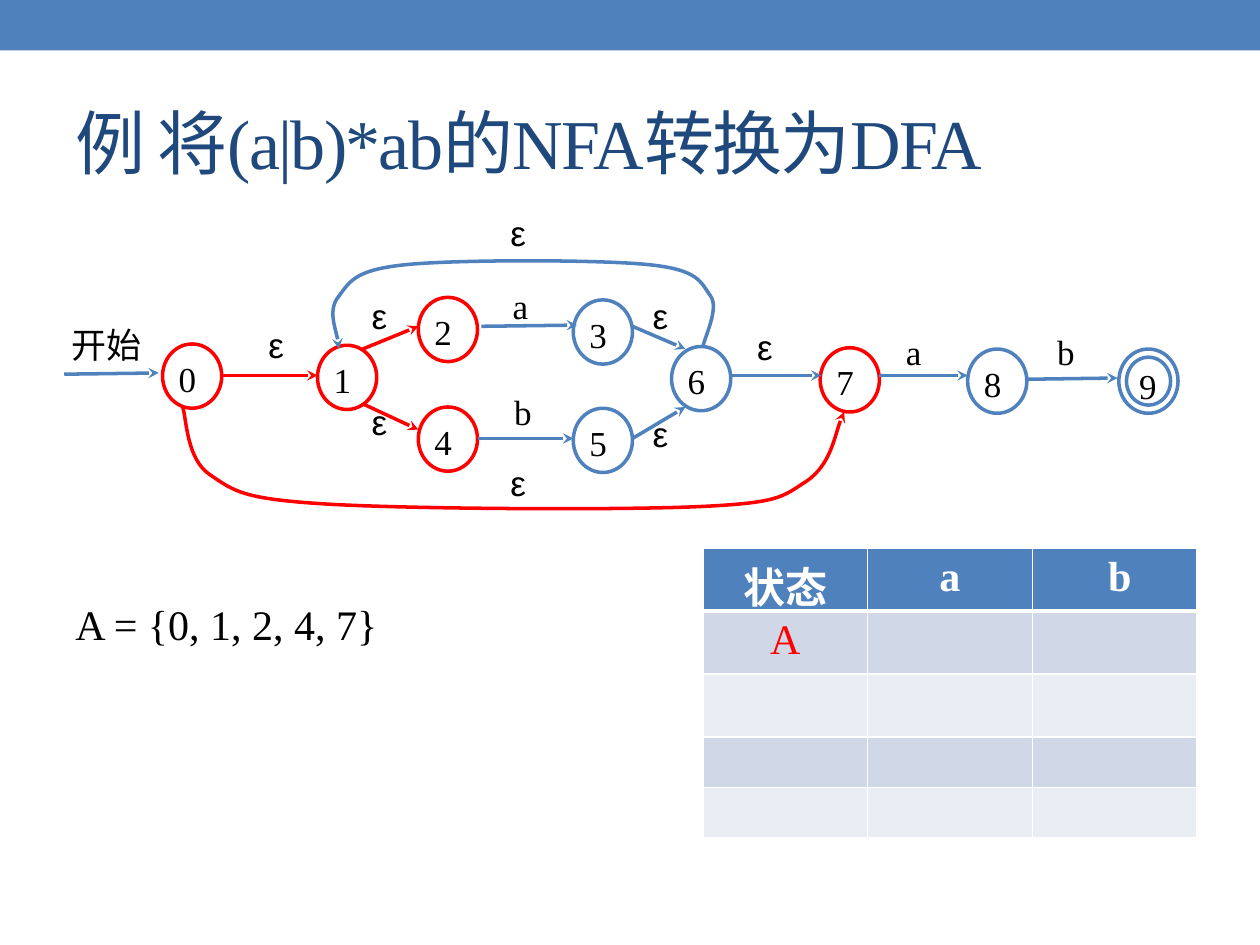
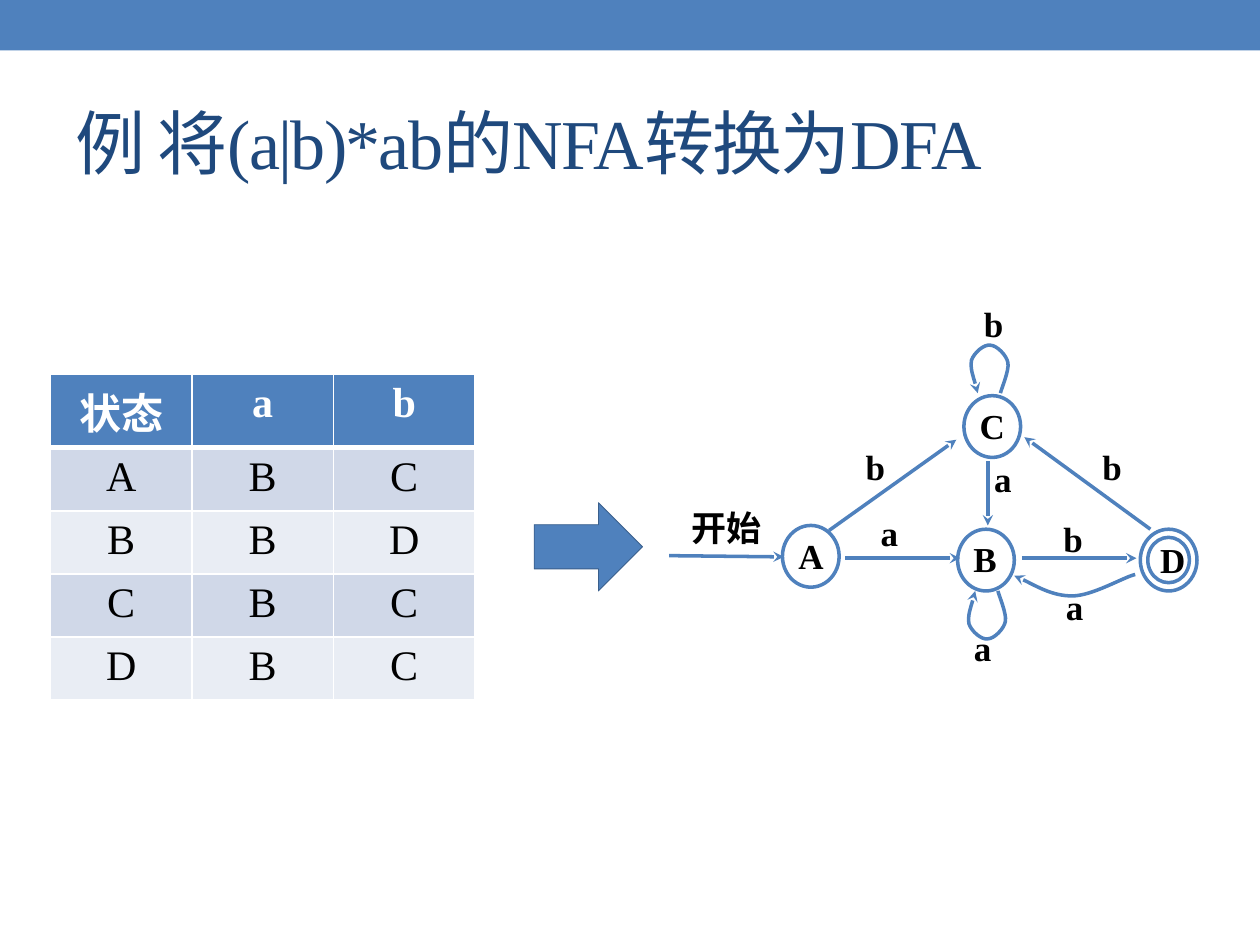
"""Two slides on converting the NFA of (a|b)*ab into a DFA."""
import dataclasses

import lxml.etree
import pptx
import pptx.dml.color
import pptx.enum.shapes
import pptx.enum.text
import pptx.oxml.ns
import pptx.util

Inches = pptx.util.Inches
Pt = pptx.util.Pt
RGBColor = pptx.dml.color.RGBColor
MSO_SHAPE = pptx.enum.shapes.MSO_SHAPE
MSO_ANCHOR = pptx.enum.text.MSO_ANCHOR
PP_ALIGN = pptx.enum.text.PP_ALIGN
qn = pptx.oxml.ns.qn

BLUE = RGBColor(0x4F, 0x81, 0xBD)
DARK_BLUE = RGBColor(0x3A, 0x5F, 0x8C)
NAVY = RGBColor(0x1F, 0x49, 0x7D)
RED = RGBColor(0xFF, 0x00, 0x00)
BLACK = RGBColor(0x00, 0x00, 0x00)
WHITE = RGBColor(0xFF, 0xFF, 0xFF)
ROW_DARK = RGBColor(0xD0, 0xD8, 0xE8)
ROW_LIGHT = RGBColor(0xE9, 0xED, 0xF4)

SERIF = "Times New Roman"
SANS = "Arial"
TITLE = "例 将(a|b)*ab的NFA转换为DFA"
START = "开始"


def write(tf, text, size, color=BLACK, font=SERIF, bold=False, align=PP_ALIGN.LEFT):
    """Set one formatted paragraph in a text frame."""
    tf.text = text
    p = tf.paragraphs[0]
    p.alignment = align
    for r in p.runs:
        r.font.name, r.font.size, r.font.bold = font, Pt(size), bold
        r.font.color.rgb = color


def set_margins(tf, left, top, right, bottom):
    """Set the four insets of a text frame in inches."""
    tf.margin_left, tf.margin_top = Inches(left), Inches(top)
    tf.margin_right, tf.margin_bottom = Inches(right), Inches(bottom)


def add_arrowhead(sp):
    """Put a stealth head at the end of a line."""
    ln = sp.element.find(".//" + qn("a:ln"))
    lxml.etree.SubElement(ln, qn("a:tailEnd"), type="stealth")


@dataclasses.dataclass
class Automaton:
    """A state diagram whose parts are placed from its left top corner."""

    slide: object
    left: float
    top: float
    node_size: tuple
    inner_size: tuple
    bold: bool
    anchor: object

    def at(self, x, y):
        """Turn diagram inches into a slide position."""
        return Inches(self.left + x), Inches(self.top + y)

    def node(self, name, x, y, color=BLUE, size=None, margins=(0.06, 0.03, 0.02, 0.05)):
        """Draw a state circle with its name."""
        w, h = size or self.node_size
        sp = self.slide.shapes.add_shape(
            MSO_SHAPE.OVAL, *self.at(x, y), Inches(w), Inches(h))
        sp.shadow.inherit = False
        sp.fill.background()
        sp.line.color.rgb, sp.line.width = color, Pt(2)
        tf = sp.text_frame
        tf.vertical_anchor = self.anchor
        set_margins(tf, *margins)
        write(tf, name, 20, bold=self.bold)

    def final_node(self, name, x, y):
        """Draw an accepting state as two rings."""
        self.node("", x, y)
        dx, dy = ((a - b) / 2 for a, b in zip(self.node_size, self.inner_size))
        self.node(name, x + dx, y + dy, size=self.inner_size,
                  margins=(0.05, 0, 0.01, 0))

    def label(self, text, x, y):
        """Write the symbol of an edge."""
        w = 0.78 if text == START else 0.4
        sp = self.slide.shapes.add_textbox(*self.at(x, y), Inches(w), Inches(0.4))
        tf = sp.text_frame
        tf.word_wrap = True
        set_margins(tf, 0.06, 0.03, 0.06, 0.03)
        write(tf, text, 20, font=SANS if text == "ε" else SERIF, bold=self.bold)

    def edge(self, x1, y1, x2, y2, color=BLUE):
        """Draw a straight arrow."""
        sp = self.slide.shapes.add_connector(
            pptx.enum.shapes.MSO_CONNECTOR.STRAIGHT, *self.at(x1, y1), *self.at(x2, y2))
        sp.line.color.rgb, sp.line.width = color, Pt(2)
        add_arrowhead(sp)
        lxml.etree.SubElement(sp.element.spPr, qn("a:effectLst"))

    def arc(self, points, color=BLUE):
        """Draw a curved arrow from a start point and triples of Bézier points."""
        start, *rest = [self.at(*point) for point in points]
        builder = self.slide.shapes.build_freeform(*start)
        builder.add_line_segments(rest, close=False)
        sp = builder.convert_to_shape()
        segments = list(sp.element.iter(qn("a:lnTo")))
        for i in range(0, len(segments), 3):
            curve = lxml.etree.SubElement(segments[i].getparent(), qn("a:cubicBezTo"))
            for segment in segments[i:i + 3]:
                curve.append(segment[0])
                segment.getparent().remove(segment)
        sp.shadow.inherit = False
        sp.fill.background()
        sp.line.color.rgb, sp.line.width = color, Pt(2)
        add_arrowhead(sp)


def add_title_slide(prs):
    """Add a slide with the top band and the shared title."""
    slide = prs.slides.add_slide(prs.slide_layouts[5])
    band = slide.shapes.add_shape(MSO_SHAPE.RECTANGLE, 0, 0, prs.slide_width, Inches(0.4))
    band.shadow.inherit = False
    band.fill.solid()
    band.fill.fore_color.rgb = BLUE
    band.line.fill.background()
    title = slide.shapes.title
    title.left, title.top = Inches(0.5), Inches(0.58)
    title.width, title.height = Inches(9), Inches(1.08)
    tf = title.text_frame
    tf.vertical_anchor = MSO_ANCHOR.MIDDLE
    write(tf, TITLE, 40, NAVY)
    tf.paragraphs[0].runs[0].font.element.set("spc", "-100") if hasattr(
        tf.paragraphs[0].runs[0].font, "element") else tf._txBody.find(
        ".//" + qn("a:rPr")).set("spc", "-100")
    return slide


def set_borders(cell, top, bottom):
    """Give a cell white borders, one point wide at the sides."""
    tcPr = cell._tc.get_or_add_tcPr()
    for i, (side, width) in enumerate(zip("LRTB", (1, 1, top, bottom))):
        ln = lxml.etree.Element(qn("a:ln" + side), w=str(Pt(width)))
        fill = lxml.etree.SubElement(ln, qn("a:solidFill"))
        lxml.etree.SubElement(fill, qn("a:srgbClr"), val=str(WHITE))
        tcPr.insert(i, ln)


def add_transition_table(slide, left, top, width, heights, rows, body_color=BLACK):
    """Add a state table; its frame is 2.5 inches high."""
    frame = slide.shapes.add_table(len(rows), len(rows[0]), Inches(left), Inches(top),
                                   Inches(width), Inches(2.5))
    table = frame.table
    for i, (row, height) in enumerate(zip(rows, heights)):
        table.rows[i].height = Inches(height)
        for j, text in enumerate(row):
            cell = table.cell(i, j)
            cell.fill.solid()
            cell.fill.fore_color.rgb = BLUE if i == 0 else (ROW_LIGHT, ROW_DARK)[i % 2]
            set_borders(cell, 3 if i == 1 else 1, 3 if i == 0 else 1)
            if text:
                write(cell.text_frame, text, 24, body_color if i else WHITE,
                      bold=i == 0, align=PP_ALIGN.CENTER)
    frame.height = Inches(2.5)


def add_nfa(slide, left, top):
    """Draw the NFA with the states reached from 0 by ε in red."""
    nfa = Automaton(slide, left, top, (0.47, 0.51), (0.35, 0.38), False, MSO_ANCHOR.TOP)
    for name, x, y in (("0", 0.79, 1.23), ("1", 2.02, 1.24), ("2", 2.82, 0.86),
                       ("3", 4.05, 0.88), ("4", 2.82, 1.73), ("5", 4.05, 1.74),
                       ("6", 4.83, 1.25), ("7", 6.01, 1.26), ("8", 7.18, 1.27)):
        nfa.node(name, x, y, RED if name in "01247" else BLUE)
    nfa.final_node("9", 8.38, 1.27)
    for ends in ((0.01, 1.47, 0.76, 1.46), (3.32, 1.09, 4.08, 1.08),
                 (3.29, 1.98, 4.05, 1.98), (4.52, 1.09, 4.94, 1.27),
                 (4.52, 1.98, 4.94, 1.73), (5.3, 1.48, 6.02, 1.48),
                 (6.48, 1.48, 7.18, 1.48), (7.65, 1.51, 8.37, 1.5)):
        nfa.edge(*ends)
    for ends in ((1.26, 1.48, 2.02, 1.48), (2.38, 1.27, 2.82, 1.09),
                 (2.39, 1.71, 2.82, 1.91)):
        nfa.edge(*ends, RED)
    nfa.arc([(0.95, 1.73), (0.98, 1.82), (0.98, 2.15), (1.17, 2.27),
             (1.36, 2.4), (1.43, 2.46), (2.08, 2.5),
             (2.73, 2.54), (4.43, 2.55), (5.07, 2.52),
             (5.7, 2.49), (5.71, 2.44), (5.9, 2.32),
             (6.09, 2.19), (6.14, 1.88), (6.2, 1.77)], RED)
    nfa.arc([(5.08, 1.25), (5.09, 1.18), (5.21, 0.95), (5.14, 0.85),
             (5.06, 0.74), (5.05, 0.64), (4.64, 0.6),
             (4.24, 0.56), (3.14, 0.56), (2.73, 0.6),
             (2.32, 0.64), (2.28, 0.73), (2.19, 0.85),
             (2.1, 0.96), (2.19, 1.18), (2.19, 1.27)])
    for text, x, y in ((START, 0.01, 1.04), ("ε", 1.57, 1.04), ("ε", 2.39, 0.81),
                       ("ε", 2.39, 1.65), ("a", 3.51, 0.73), ("b", 3.52, 1.57),
                       ("ε", 4.62, 0.81), ("ε", 4.62, 1.74), ("ε", 3.49, 0.15),
                       ("ε", 3.49, 2.13), ("ε", 5.45, 1.05), ("a", 6.63, 1.09),
                       ("b", 7.83, 1.09)):
        nfa.label(text, x, y)


def add_dfa(slide, left, top):
    """Draw the resulting DFA."""
    dfa = Automaton(slide, left, top, (0.45, 0.49), (0.33, 0.36), True, MSO_ANCHOR.MIDDLE)
    for name, x, y in (("A", 1.21, 2.17), ("B", 2.6, 2.2), ("C", 2.65, 1.14)):
        dfa.node(name, x, y)
    dfa.final_node("D", 4.05, 2.2)
    for ends in ((0.31, 2.41, 1.22, 2.42), (1.71, 2.43, 2.62, 2.43),
                 (3.11, 2.43, 4.02, 2.43), (1.58, 2.21, 2.59, 1.49),
                 (2.84, 1.66, 2.84, 2.17), (4.13, 2.2, 3.13, 1.47)):
        dfa.edge(*ends)
    loop = [(2.94, 1.12), (2.95, 1.08), (3.01, 0.94), (3, 0.88),
            (2.99, 0.82), (2.91, 0.74), (2.86, 0.74),
            (2.81, 0.73), (2.73, 0.8), (2.71, 0.86),
            (2.7, 0.93), (2.75, 1.07), (2.76, 1.12)]
    dfa.arc(loop)
    dfa.arc([(x - 0.02, 3.81 - y) for x, y in loop])
    dfa.arc([(4.01, 2.56), (3.92, 2.58), (3.67, 2.73), (3.51, 2.73),
             (3.35, 2.73), (3.15, 2.61), (3.05, 2.57)])
    for text, x, y in ((START, 0.43, 1.99), ("a", 1.93, 2.03), ("a", 2.67, 2.94),
                       ("b", 3.38, 2.08), ("b", 1.81, 1.51), ("a", 3.4, 2.62),
                       ("b", 2.75, 0.37), ("b", 3.69, 1.51), ("a", 2.83, 1.6)):
        dfa.label(text, x, y)


def add_state_set(slide, left, top):
    """Write the NFA states that make up state A."""
    sp = slide.shapes.add_textbox(Inches(left), Inches(top), Inches(9), Inches(2.38))
    tf = sp.text_frame
    tf.word_wrap = True
    write(tf, "A = {0, 1, 2, 4, 7}", 24)
    tf.paragraphs[0].space_before = Pt(4.8)


def add_result_arrow(slide, left, top):
    """Draw the block arrow from the table to the DFA."""
    sp = slide.shapes.add_shape(MSO_SHAPE.RIGHT_ARROW, Inches(left), Inches(top),
                                Inches(0.86), Inches(0.7))
    sp.shadow.inherit = False
    sp.fill.solid()
    sp.fill.fore_color.rgb = BLUE
    sp.line.color.rgb, sp.line.width = DARK_BLUE, Pt(0.5)


def main():
    """Build both slides and save them."""
    prs = pptx.Presentation()
    prs.slide_width, prs.slide_height = Inches(10), Inches(7.5)

    slide = add_title_slide(prs)
    add_state_set(slide, 0.5, 4.7)
    add_nfa(slide, 0.5, 1.5)
    add_transition_table(slide, 5.58, 4.35, 3.92, (0.5, 0.5, 0.5, 0.4, 0.4),
                         [("状态", "a", " b"), ("A", "", "")] + [("", "", "")] * 3, RED)

    slide = add_title_slide(prs)
    add_transition_table(slide, 0.4, 2.97, 3.37, [0.5] * 5,
                         [("状态", "a", "b"), "ABC", "BBD", "CBC", "DBC"])
    add_dfa(slide, 5, 2)
    add_result_arrow(slide, 4.24, 3.99)
    prs.save("out.pptx")


if __name__ == "__main__":
    main()
